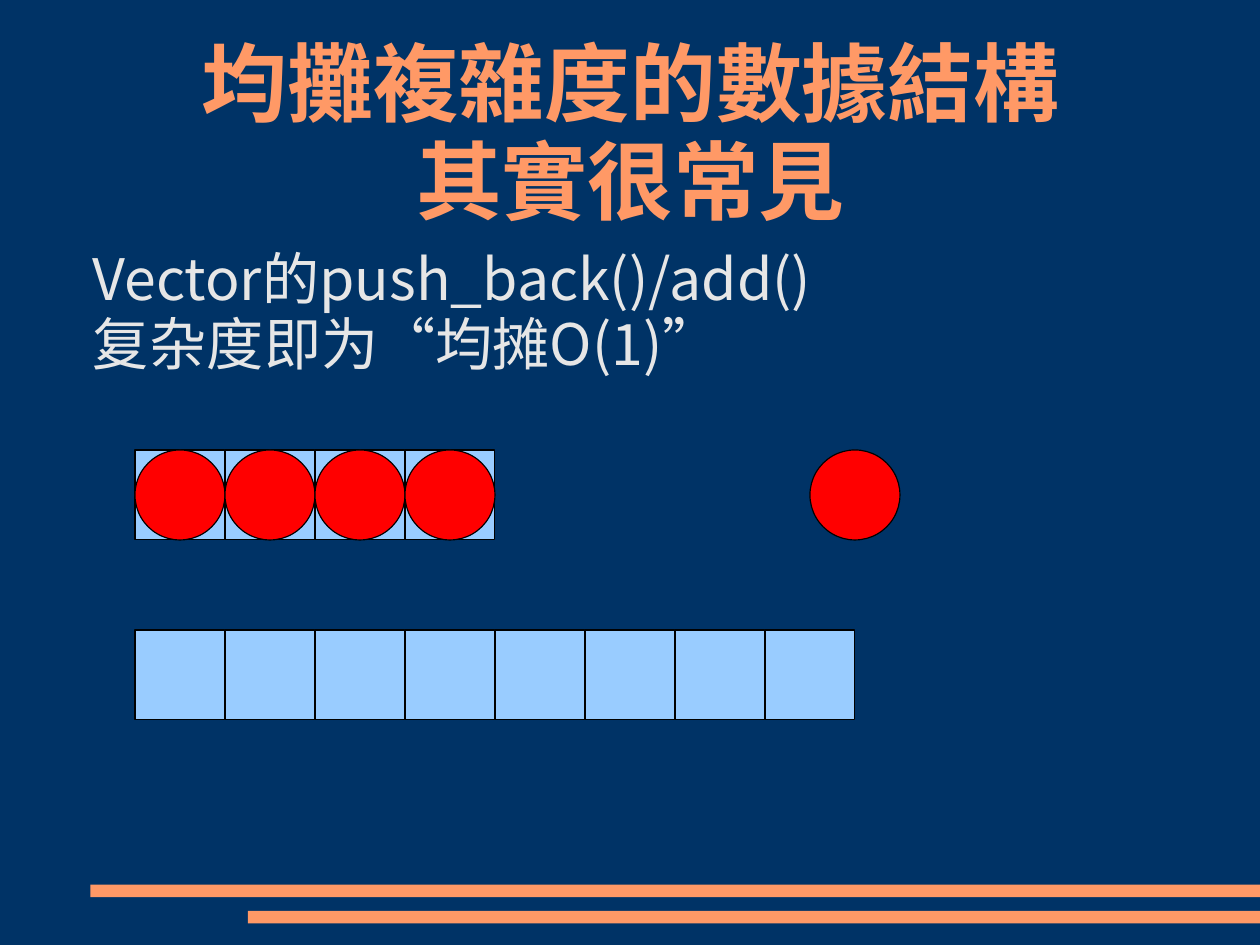
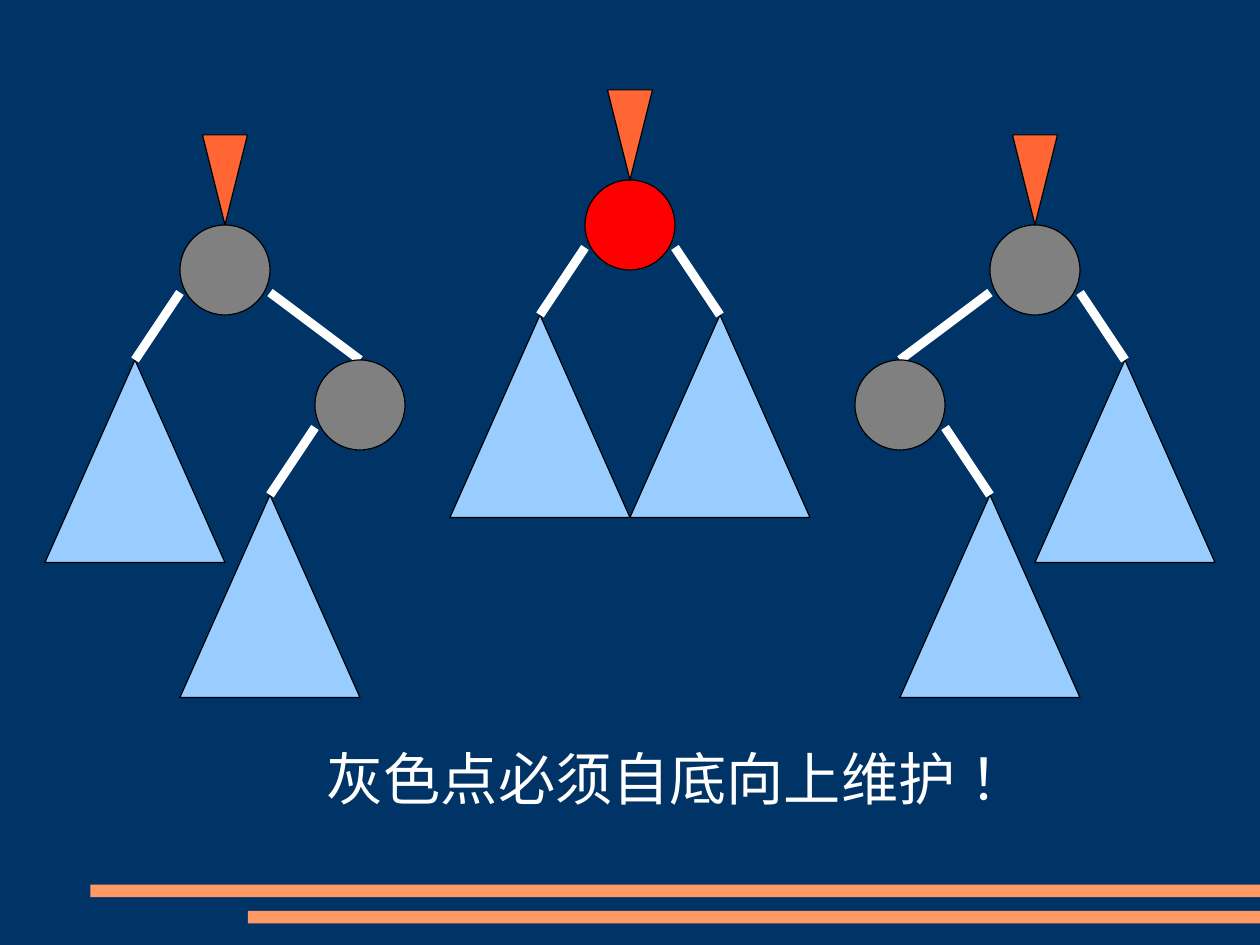
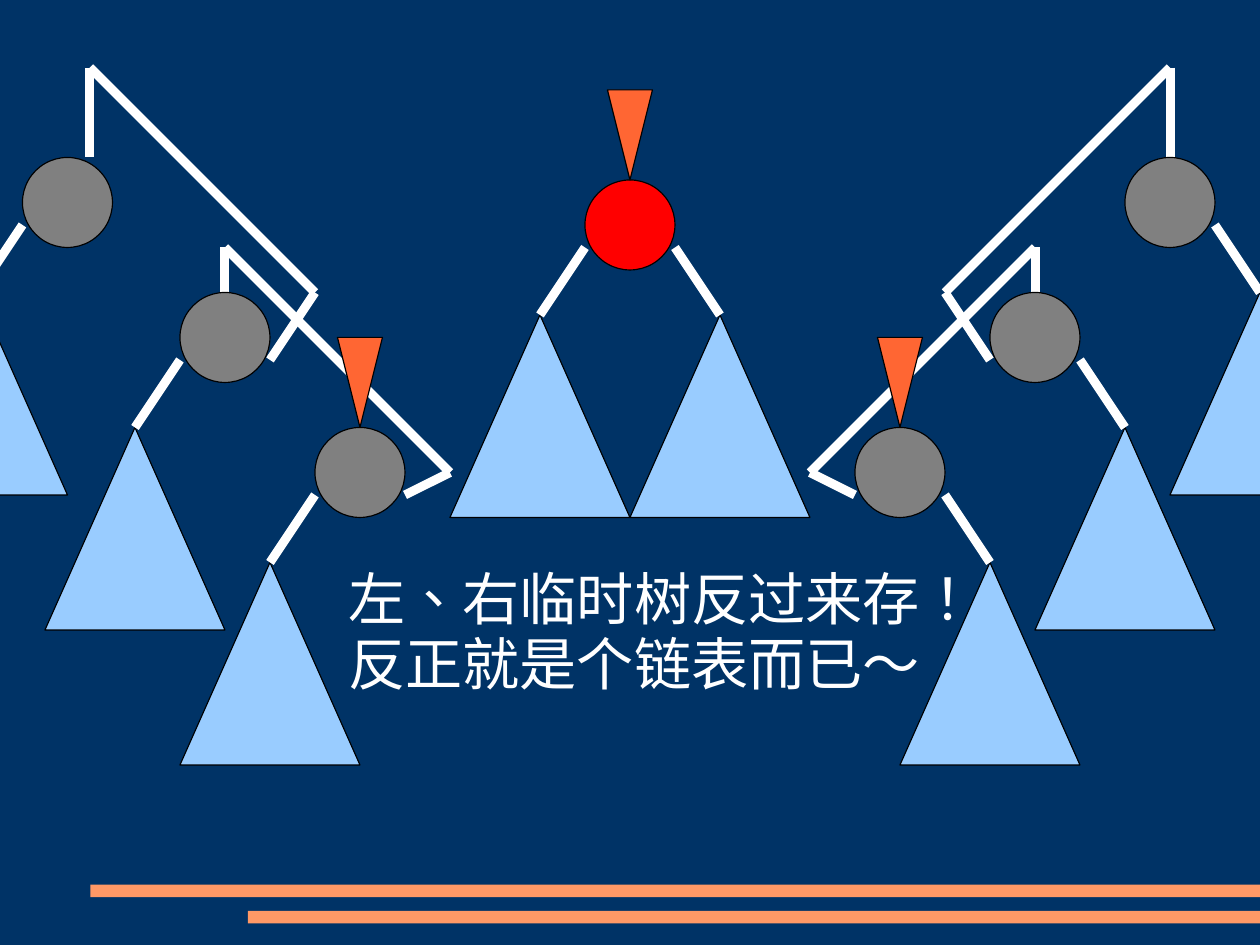
from dataclasses import dataclass
from lxml import etree
from pptx import Presentation
from pptx.dml.color import RGBColor
from pptx.enum.lang import MSO_LANGUAGE_ID
from pptx.enum.shapes import MSO_CONNECTOR, MSO_SHAPE
from pptx.enum.text import MSO_ANCHOR, PP_ALIGN
from pptx.oxml.ns import qn
from pptx.util import Inches, Pt

RECT, OVAL = MSO_SHAPE.RECTANGLE, MSO_SHAPE.OVAL
CONE = MSO_SHAPE.ISOSCELES_TRIANGLE
LINE = MSO_CONNECTOR.STRAIGHT
LEFT, MID = PP_ALIGN.LEFT, PP_ALIGN.CENTER
LANG = MSO_LANGUAGE_ID.TRADITIONAL_CHINESE


@dataclass(frozen=True)
class Theme:
    back: str = "003366"
    accent: str = "FF9966"
    body: str = "E6E6E6"
    white: str = "FFFFFF"
    black: str = "000000"
    cell: str = "99CCFF"
    red: str = "FF0000"
    gray: str = "808080"
    mark: str = "FF6633"
    latin: str = "Noto Sans CJK JP"
    han: str = "Noto Sans CJK SC"
    head: float = 54
    text: float = 36
    edge: float = 0.75
    link: float = 5.67
    pitch: float = 0.95


T = Theme()
UNIT = 1 / 2.54      # drawing grid step in inches
SPAN, TALL = 28, 21  # slide size in grid steps

# Content: each text is a list of lines, each line a tuple of runs
TITLE = [("均攤複雜度的數據結構",), ("其實很常見",)]
BODY = [("Vector", "的", "push_back()/add()"),
        ("复杂度即为“均摊", "O(1)", "”")]
NOTE = [("灰色点必须自底向上维护！",)]
ENDING = [("左、右临时树反过来存！",), ("反正就是个链表而已～",)]

BARS = [(0.79, 7.74), (2.17, 7.97)]         # left, top
ROWS = [(10, 4), (14, 8)]                   # top, cells
BALLS = [3, 5, 7, 9, 18]                    # left edges
ROOT = (14, 5)

# Half of each tree slide: node centres on the left ("nodes") and on the
# right before mirroring ("far"), link paths, and the node pointed at
SPLIT = {
    "nodes": [(5, 6), (8, 9)],
    "far": [(5, 6), (8, 9)],
    "paths": [[(6, 6.5), (8, 8)]],
    "top": (5, 6),
}
CHAIN = {
    "nodes": [(1.5, 4.5), (5, 7.5), (8, 10.5)],
    "far": [(2, 4.5), (5, 7.5), (8, 10.5)],
    "paths": [[(9, 11), (10, 10.5), (5, 5.5), (5, 6.5)],
              [(6, 8), (7, 6.5), (2, 1.5), (2, 3.5)]],
    "top": (8, 10.5),
}


def rgb(code):
    return RGBColor.from_string(code)


def grid(*steps):
    return [Inches(step * UNIT) for step in steps]


def shape(slide, kind, box, fill, edge=True):
    item = slide.shapes.add_shape(kind, *box)
    item.shadow.inherit = False
    item.fill.solid()
    item.fill.fore_color.rgb = rgb(fill)
    if edge:
        item.line.color.rgb = rgb(T.black)
        item.line.width = Pt(T.edge)
    else:
        item.line.fill.background()
    return item


def write(frame, lines, size, color, align=LEFT, bold=False, pad=(0, 0)):
    frame.word_wrap = True
    frame.margin_left = frame.margin_right = Inches(pad[0])
    frame.margin_top = frame.margin_bottom = Inches(pad[1])
    for row, parts in enumerate(lines):
        para = frame.add_paragraph() if row else frame.paragraphs[0]
        para.alignment = align
        para.line_spacing = T.pitch
        para.space_before = Pt(0)
        for part in parts:
            run = para.add_run()
            run.text = part
            font = run.font
            font.size, font.bold = Pt(size), bold
            font.color.rgb = rgb(color)
            font.name = T.latin if part.isascii() else T.han
            if not part.isascii():
                font.language_id = LANG
            # East Asian typeface
            props = run._r.get_or_add_rPr()
            etree.SubElement(props, qn("a:ea"), typeface=font.name)


def label(slide, box, lines, color, pad):
    item = slide.shapes.add_textbox(*map(Inches, box))
    write(item.text_frame, lines, T.text, color, pad=pad)


def path(slide, points):
    for a, b in zip(points, points[1:]):
        item = slide.shapes.add_connector(LINE, *grid(*a, *b))
        item.line.color.rgb = rgb(T.white)
        item.line.width = Pt(T.link)
        etree.SubElement(item._element.spPr, qn("a:effectLst"))


def ball(slide, x, y, fill):
    shape(slide, OVAL, grid(x - 1, y - 1, 2, 2), fill)


def branch(slide, x, y, side):
    """Subtree below a node; side is -1 for left, 1 for right."""
    tip = (x + 2 * side, y + 2)
    shape(slide, CONE, grid(tip[0] - 2, tip[1], 4, 4.5), T.cell)
    path(slide, [(x + side, y + 0.5), tip])


def pointer(slide, x, y):
    item = shape(slide, CONE, grid(x - 0.5, y - 3, 1, 2), T.mark)
    item._element.spPr.find(qn("a:xfrm")).set("flipV", "1")


def flip(point):
    return SPAN - point[0], point[1]


def forest(slide, half):
    # Middle tree
    for side in (-1, 1):
        branch(slide, *ROOT, side)
    ball(slide, *ROOT, T.red)
    pointer(slide, *ROOT)
    # Left tree, then its mirror
    for side, key, move in ((-1, "nodes", tuple), (1, "far", flip)):
        nodes = [move(node) for node in half[key]]
        for node in nodes:
            branch(slide, *node, side)
        for points in half["paths"]:
            path(slide, [move(point) for point in points])
        for node in nodes:
            ball(slide, *node, T.gray)
        pointer(slide, *move(half["top"]))


def page(deck, layout):
    slide = deck.slides.add_slide(deck.slide_layouts[layout])
    for x, y in BARS:
        box = map(Inches, (x, y, SPAN * UNIT - x, 0.11))
        shape(slide, RECT, box, T.accent, edge=False)
    return slide


def vector(deck):
    slide = page(deck, 5)
    title = slide.shapes.title
    title.left, title.top, title.width, title.height = map(
        Inches, (0.81, 0.33, 9.41, 1.71))
    title.text_frame.vertical_anchor = MSO_ANCHOR.MIDDLE
    write(title.text_frame, TITLE, T.head, T.accent, MID, True)
    label(slide, (0.81, 2.15, 9.59, 1.4), BODY, T.body, (0, 0.02))
    # Two arrays of cells, and the balls
    for top, count in ROWS:
        for i in range(count):
            shape(slide, RECT, grid(3 + 2 * i, top, 2, 2), T.cell)
    for x in BALLS:
        ball(slide, x + 1, ROWS[0][0] + 1, T.red)


def trees(deck, half, box, lines):
    slide = page(deck, 6)
    forest(slide, half)
    label(slide, box, lines, T.white, (0.1, 0.05))


def main():
    deck = Presentation()
    deck.slide_width, deck.slide_height = grid(SPAN, TALL)
    back = deck.slide_master.background.fill
    back.solid()
    back.fore_color.rgb = rgb(T.back)
    vector(deck)
    trees(deck, SPLIT, (2.76, 6.5, 6.3, 0.67), NOTE)
    trees(deck, CHAIN, (2.95, 4.92, 6.3, 1.24), ENDING)
    deck.save("out.pptx")


if __name__ == "__main__":
    main()
